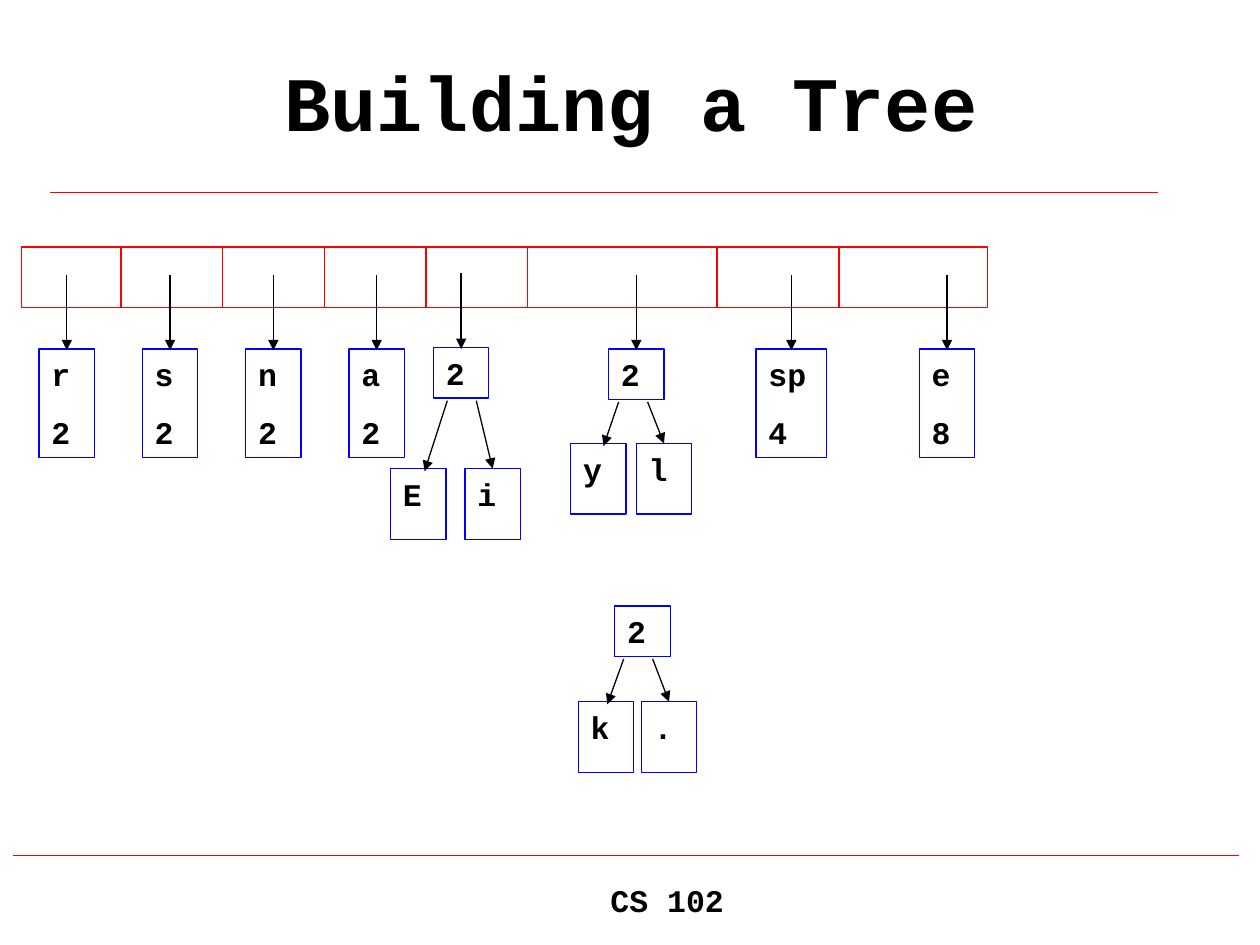
from lxml import etree
from pptx import Presentation
from pptx.dml.color import RGBColor
from pptx.enum.shapes import MSO_CONNECTOR, MSO_SHAPE
from pptx.enum.text import MSO_ANCHOR, PP_ALIGN
from pptx.oxml.ns import qn
from pptx.util import Inches, Pt

RECTANGLE = MSO_SHAPE.RECTANGLE
STRAIGHT = MSO_CONNECTOR.STRAIGHT
TOP, MIDDLE = MSO_ANCHOR.TOP, MSO_ANCHOR.MIDDLE
LEFT, CENTER = PP_ALIGN.LEFT, PP_ALIGN.CENTER

THEME = {
    "font": "Courier New",
    "ink": RGBColor(0, 0, 0),
    "paper": RGBColor(255, 255, 255),
    "queue": RGBColor(255, 0, 0),
    "node": RGBColor(0, 0, 255),
    "title_size": Pt(44),
    "body_size": Pt(18),
    "paragraph_gap": Pt(11.2),
    "line_width": Pt(0.75),
}

# Content
TITLE = "Building a Tree"
FOOTER = "CS 102"
# Leaves waiting in the queue: column, letter, count
LEAVES = [(0, "r", 2), (1, "s", 2), (2, "n", 2), (3, "a", 2),
          (6.94, "sp", 4), (8.52, "e", 8)]
# Subtrees: root, its place, offsets of its two children, drop to the
# children, start of the left edge, its landing right of centre
TREES = [
    {"count": 2, "at": (3.44, 2.76), "queued": True, "drop": 0.96,
     "children": [("E", -0.34), ("i", 0.25)], "edge": 0.11, "landing": 0.05},
    {"count": 2, "at": (4.83, 2.77), "queued": True, "drop": 0.75,
     "children": [("y", -0.3), ("l", 0.22)], "edge": 0.08, "landing": 0.04},
    {"count": 2, "at": (4.88, 4.81), "queued": False, "drop": 0.76,
     "children": [("k", -0.29), (".", 0.21)], "edge": 0.07, "landing": 0.01},
]

# Grid, in inches
RULES = [(0.4, 9.19, 1.53), (0.1, 9.83, 6.79)]
QUEUE = (0.17, 1.96, 7.67, 0.48)
DIVIDERS = [0.96 + 0.807 * cell for cell in range(5)] + [5.69, 6.66]
FIRST_LEAF, LEAF_PITCH, LEAF_TOP = 0.31, 0.82, 2.77
NODE_WIDTH, WIDE_WIDTH = 0.44, 0.56
LEAF_HEIGHT, ROOT_HEIGHT, CHILD_HEIGHT = 0.86, 0.4, 0.56
POINTER_LENGTH = 0.59
EDGE_SPREAD, EDGE_GAP = 0.23, 0.02

deck = Presentation()
deck.slide_width, deck.slide_height = Inches(10), Inches(7.5)
page = deck.slides.add_slide(deck.slide_layouts[6])


def write(shape, lines, size=THEME["body_size"], align=LEFT, anchor=TOP):
    frame = shape.text_frame
    frame.word_wrap = True
    frame.vertical_anchor = anchor
    frame.text = "\n".join(str(line) for line in lines)
    for index, para in enumerate(frame.paragraphs):
        para.alignment = align
        if index:
            para.space_before = THEME["paragraph_gap"]
        font = para.runs[0].font
        font.name, font.size, font.bold = THEME["font"], size, True
        font.color.rgb = THEME["ink"]


def add_label(text, bounds, **style):
    box = page.shapes.add_textbox(*map(Inches, bounds))
    write(box, [text], align=CENTER, **style)


def add_box(bounds, color, fill=None):
    box = page.shapes.add_shape(RECTANGLE, *map(Inches, bounds))
    box.shadow.inherit = False
    if fill is None:
        box.fill.background()
    else:
        box.fill.solid()
        box.fill.fore_color.rgb = fill
    box.line.color.rgb = color
    box.line.width = THEME["line_width"]
    return box


def add_node(left, top, height, lines, width=NODE_WIDTH):
    write(add_box((left, top, width, height), THEME["node"]), lines)


def add_line(start, end, color, arrow=False):
    line = page.shapes.add_connector(STRAIGHT, *map(Inches, start + end))
    line.line.color.rgb = color
    line.line.width = THEME["line_width"]
    properties = line.element.spPr
    if arrow:
        outline = properties.find(qn("a:ln"))
        etree.SubElement(outline, qn("a:tailEnd"), type="triangle")
    etree.SubElement(properties, qn("a:effectLst"))


def add_pointer(x, node_top):
    """Arrow from a queue cell down to the node it holds."""
    add_line((x, node_top - POINTER_LENGTH), (x, node_top + 0.01),
             THEME["ink"], arrow=True)


def add_tree(tree):
    left, top = tree["at"]
    add_node(left, top, ROOT_HEIGHT, [tree["count"]])
    if tree["queued"]:
        add_pointer(left + NODE_WIDTH / 2, top)
    child_top = top + tree["drop"]
    for side, (letter, offset) in enumerate(tree["children"]):
        add_node(left + offset, child_top, CHILD_HEIGHT, [letter])
        start_x = left + tree["edge"] + side * EDGE_SPREAD
        end_x = left + offset + NODE_WIDTH / 2
        end_y = child_top
        if side == 0:
            end_x += tree["landing"]
            end_y += EDGE_GAP
        add_line((start_x, top + ROOT_HEIGHT + EDGE_GAP), (end_x, end_y),
                 THEME["ink"], arrow=True)


for rule_left, rule_right, rule_y in RULES:
    add_line((rule_left, rule_y), (rule_right, rule_y), THEME["queue"])
add_label(FOOTER, (2.68, 6.94, 5.23, 0.5))
add_label(TITLE, (0.76, 0.17, 8.5, 1.25), size=THEME["title_size"],
          anchor=MIDDLE)

add_box(QUEUE, THEME["queue"], THEME["paper"])
queue_top, queue_bottom = QUEUE[1], QUEUE[1] + QUEUE[3]
for x in DIVIDERS:
    add_line((x, queue_top), (x, queue_bottom), THEME["queue"])

for column, letter, count in LEAVES:
    leaf_left = FIRST_LEAF + column * LEAF_PITCH
    leaf_width = NODE_WIDTH if len(letter) == 1 else WIDE_WIDTH
    add_node(leaf_left, LEAF_TOP, LEAF_HEIGHT, [letter, count], leaf_width)
    add_pointer(leaf_left + leaf_width / 2, LEAF_TOP)

for tree in TREES:
    add_tree(tree)

deck.save("out.pptx")
